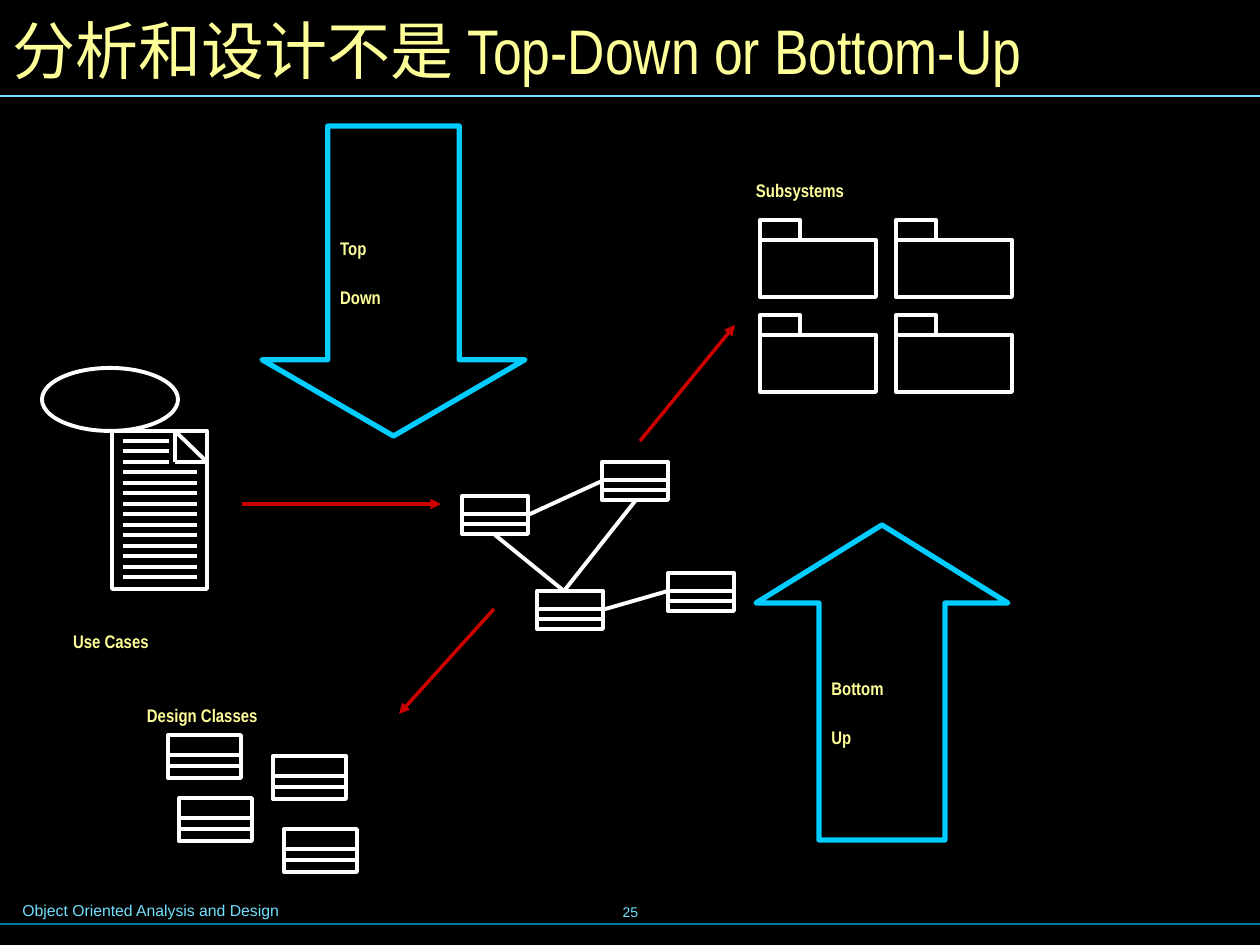
from lxml.etree import SubElement
from pptx import Presentation
from pptx.dml.color import RGBColor
from pptx.enum.shapes import MSO_CONNECTOR, MSO_SHAPE as SHAPE
from pptx.enum.text import MSO_ANCHOR as ANCHOR, MSO_AUTO_SIZE as FIT, PP_ALIGN as ALIGN
from pptx.oxml.ns import qn
from pptx.util import Emu, Pt

THEME = {
    "background": "000000",
    "lines": {
        "header rule": ("73E1FF", 0.75),
        "footer rule": ("007E9F", 0.75),
        "block arrow": ("00CCFF", 3),
        "flow": ("CC0000", 2),
        "diagram": ("FFFFFF", 2.25),
    },
    "text": {
        "title": {"color": "FFFF99", "name": "Arial Narrow", "size": Pt(36)},
        "label": {"color": "FFFF99", "name": "Arial Narrow", "size": Pt(18), "bold": True},
        "footer": {"color": "73E1FF", "name": "Arial", "size": Pt(9)},
        "number": {"color": "73E1FF", "name": "Arial", "size": Pt(8)},
    },
    "label baseline": "-25000",
    "label gap": Pt(3.6),
}
PX = 914400 / 126


def px(*lengths):
    return [Emu(round(length * PX)) for length in lengths]


def write(frame, lines, style, frame_format):
    for name, value in frame_format.items():
        setattr(frame, name, value)
    for index, line in enumerate(lines):
        paragraph = frame.add_paragraph() if index else frame.paragraphs[0]
        paragraph.alignment = ALIGN.CENTER if style == "number" else ALIGN.LEFT
        if index:
            paragraph.space_before = THEME["label gap"]
        run = paragraph.add_run()
        run.text = line
        for name, value in THEME["text"][style].items():
            if name == "color":
                run.font.color.rgb = RGBColor.from_string(value)
            else:
                setattr(run.font, name, value)
        if style == "label":
            run._r.get_or_add_rPr().set("baseline", THEME["label baseline"])


presentation = Presentation()
presentation.slide_width, presentation.slide_height = px(1260, 945)
slide = presentation.slides.add_slide(presentation.slide_layouts[6])
slide.background.fill.solid()
slide.background.fill.fore_color.rgb = RGBColor.from_string(THEME["background"])

block_arrows = [
    (SHAPE.DOWN_ARROW, (262, 126, 263, 310), 0.29, ["Top", "Down"]),
    (SHAPE.UP_ARROW, (756, 525, 252, 315), 0.31, ["Bottom", "Up"]),
]
outlines = [(kind, box, "block arrow") for kind, box, head, words in block_arrows]
lines = [
    ((0, 924, 1265, 924), "footer rule"),
    ((0, 96, 1260, 96), "header rule"),
    ((242, 504, 441, 504), "flow"),
    ((640, 441, 735, 325), "flow"),
    ((494, 609, 399, 714), "flow"),
]

design_classes = [(168, 735), (179, 798), (273, 756), (284, 829)]
analysis_classes = [(462, 496), (602, 462), (537, 591), (668, 573)]
for corners, width, height in ((design_classes, 73, 43), (analysis_classes, 66, 38)):
    for left, top in corners:
        outlines.append((SHAPE.RECTANGLE, (left, top, width, height), "diagram"))
        for share in (0.47, 0.73):
            divider = top + round(height * share)
            lines.append(((left, divider, left + width, divider), "diagram"))

associations = [
    (564, 591, 495, 535),
    (528, 515, 602, 481),
    (602, 610, 668, 591),
    (564, 591, 636, 500),
]
lines += [(points, "diagram") for points in associations]

for left in (760, 896):
    for top in (220, 315):
        outlines.append((SHAPE.RECTANGLE, (left, top + 20, 116, 57), "diagram"))
        outlines.append((SHAPE.RECTANGLE, (left, top, 40, 20), "diagram"))

outlines.append((SHAPE.OVAL, (42, 368, 136, 63), "diagram"))
outlines.append((SHAPE.RECTANGLE, (112, 431, 95, 158), "diagram"))
page_fold = [(175, 431, 207, 462), (175, 431, 175, 462), (207, 462, 175, 462)]
lines += [(points, "diagram") for points in page_fold]
for row in range(14):
    y = 441 + row * 21 // 2
    lines.append(((123, y, 169 if row < 3 else 197, y), "diagram"))

shapes = []
for kind, box, style in outlines:
    shape = slide.shapes.add_shape(kind, *px(*box))
    shape.shadow.inherit = False
    shape.fill.background()
    color, width = THEME["lines"][style]
    shape.line.color.rgb = RGBColor.from_string(color)
    shape.line.width = Pt(width)
    shapes.append(shape)

for shape, (kind, box, head, words) in zip(shapes, block_arrows):
    shape.adjustments[0] = 0.5
    shape.adjustments[1] = head
    write(shape.text_frame, words, "label",
          {"word_wrap": False, "vertical_anchor": ANCHOR.MIDDLE})

for points, style in lines:
    connector = slide.shapes.add_connector(MSO_CONNECTOR.STRAIGHT, *px(*points))
    color, width = THEME["lines"][style]
    connector.line.color.rgb = RGBColor.from_string(color)
    connector.line.width = Pt(width)
    if style == "flow":
        SubElement(connector.line._get_or_add_ln(), qn("a:tailEnd"), type="triangle")
    SubElement(connector._element.spPr, qn("a:effectLst"))

margins = ("margin_left", "margin_top", "margin_right", "margin_bottom")
label_format = {"word_wrap": False, "auto_size": FIT.SHAPE_TO_FIT_TEXT,
                **dict.fromkeys(margins, 0)}
texts = [
    ("分析和设计不是 Top-Down or Bottom-Up", (0, 0, 1251, 98), "title",
     {"word_wrap": True, "vertical_anchor": ANCHOR.MIDDLE}),
    ("Design Classes", (147, 683, 193, 38), "label", label_format),
    ("Subsystems", (756, 158, 154, 38), "label", label_format),
    ("Use Cases", (73, 609, 132, 38), "label", label_format),
    ("Object Oriented Analysis and Design", (10, 895, 643, 32), "footer",
     {"word_wrap": True, "auto_size": FIT.SHAPE_TO_FIT_TEXT}),
    ("25", (431, 880, 399, 63), "number",
     {"word_wrap": False, "vertical_anchor": ANCHOR.MIDDLE}),
]
for words, box, style, frame_format in texts:
    text_box = slide.shapes.add_textbox(*px(*box))
    write(text_box.text_frame, [words], style, frame_format)

presentation.save("out.pptx")
